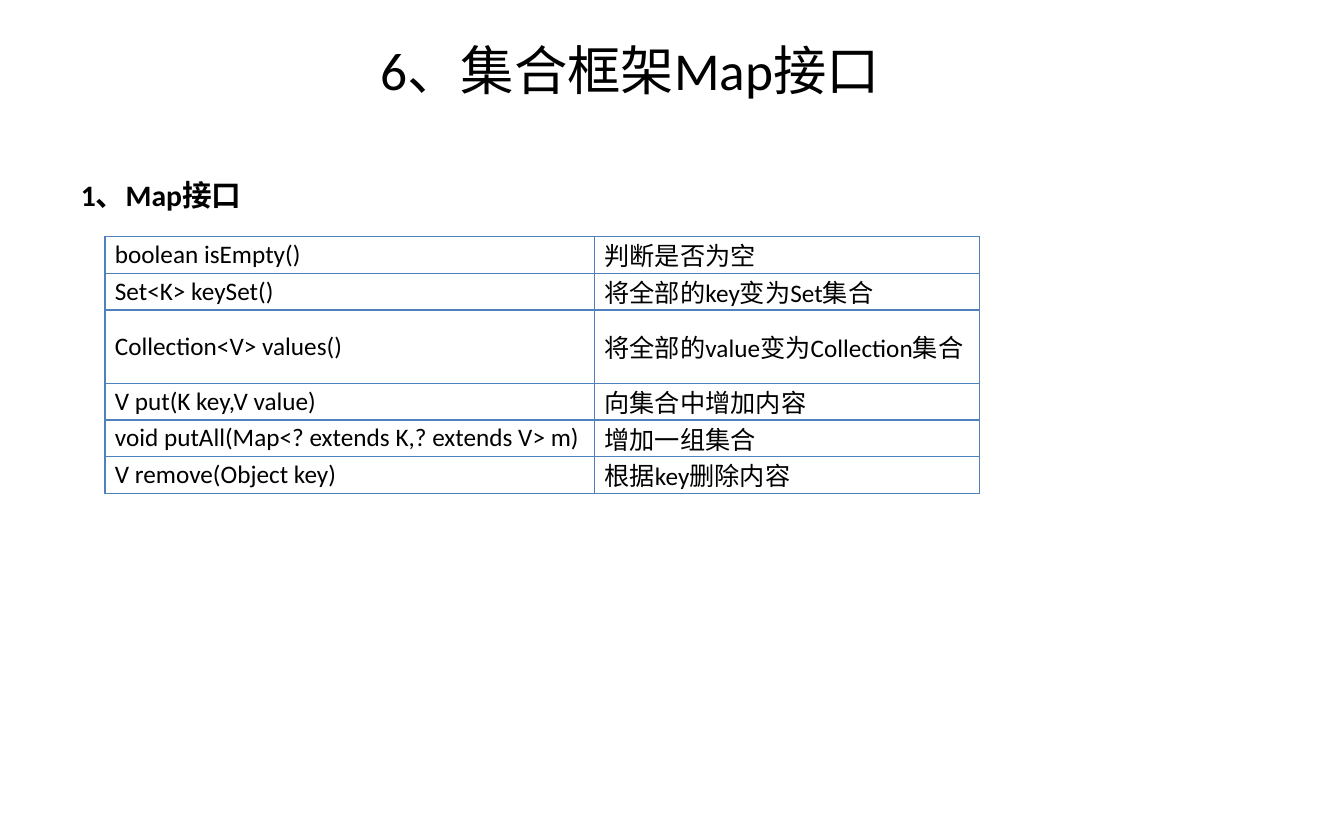
from lxml import etree
from pptx import Presentation
from pptx.dml.color import RGBColor
from pptx.enum.text import MSO_ANCHOR, PP_ALIGN
from pptx.oxml.ns import qn
from pptx.util import Pt

LEFT, CENTER, JUSTIFY = PP_ALIGN.LEFT, PP_ALIGN.CENTER, PP_ALIGN.JUSTIFY
TOP, MIDDLE = MSO_ANCHOR.TOP, MSO_ANCHOR.MIDDLE
FONT = "Calibri"
BLACK, WHITE, BLUE = "000000", "FFFFFF", "4F81BD"

MAP_METHODS = [
    ("boolean isEmpty()", "判断是否为空", 1),
    ("Set<K> keySet()", "将全部的key变为Set集合", 1),
    ("Collection<V> values()", "将全部的value变为Collection集合", 2),
    ("V put(K key,V value)", "向集合中增加内容", 1),
    ("void putAll(Map<? extends K,? extends V> m)", "增加一组集合", 1),
    ("V remove(Object key)", "根据key删除内容", 1),
]


def color(hex_value):
    return RGBColor.from_string(hex_value)


def write(frame, text, size, bold=False, align=LEFT, hanging=0):
    frame.word_wrap = True
    paragraph = frame.paragraphs[0]
    paragraph.alignment = align
    if hanging:
        properties = paragraph._p.get_or_add_pPr()
        properties.set("marL", str(Pt(hanging)))
        properties.set("indent", str(-Pt(hanging)))
    run = paragraph.add_run()
    run.text = text
    run.font.name = FONT
    run.font.size = Pt(size)
    run.font.bold = bold
    run.font.color.rgb = color(BLACK)


def add_text(slide, box, text, anchor=TOP, **text_format):
    frame = slide.shapes.add_textbox(*map(Pt, box)).text_frame
    frame.vertical_anchor = anchor
    frame.margin_left = frame.margin_right = Pt(9.2)
    frame.margin_top = frame.margin_bottom = Pt(5)
    write(frame, text, **text_format)


def outline(cell, hex_value, width):
    properties = cell._tc.get_or_add_tcPr()
    for side in ("lnL", "lnR", "lnT", "lnB"):
        line = etree.SubElement(properties, qn(f"a:{side}"), w=str(Pt(width)))
        fill = etree.SubElement(line, qn("a:solidFill"))
        etree.SubElement(fill, qn("a:srgbClr"), val=hex_value)


def add_method_table(slide, box, methods, signature_width):
    left, top, width, height = box
    line_height = height / sum(lines for _, _, lines in methods)
    table = slide.shapes.add_table(
        len(methods), 2, Pt(left), Pt(top), Pt(width), Pt(height)
    ).table
    table.first_row = table.horz_banding = False
    table.columns[0].width = Pt(signature_width)
    table.columns[1].width = Pt(width - signature_width)
    for row, (signature, meaning, lines) in enumerate(methods):
        table.rows[row].height = Pt(line_height * lines)
        for column, (text, align) in enumerate([(signature, LEFT), (meaning, JUSTIFY)]):
            cell = table.cell(row, column)
            cell.margin_left = cell.margin_right = Pt(6.75)
            cell.margin_top = cell.margin_bottom = 0
            cell.vertical_anchor = MIDDLE
            outline(cell, BLUE, 1)
            cell.fill.solid()
            cell.fill.fore_color.rgb = color(WHITE)
            write(cell.text_frame, text, size=17, align=align)


def add_map_slide(deck, box):
    left, top, width, height = box
    slide = deck.slides.add_slide(deck.slide_layouts[6])
    add_text(slide, (left + 113.6, top + 23, 623.6, 47.5), "6、集合框架Map接口",
             anchor=MIDDLE, size=36, align=CENTER)
    add_text(slide, (left + 45.4, top + 114.5, width - 90.8, height - 184.7), "1、Map接口",
             size=20, bold=True, hanging=35.3)
    add_method_table(slide, (left + 70.8, top + 159.7, 590.4, 173.25),
                     MAP_METHODS, signature_width=330.5)


def main():
    deck = Presentation()
    width, height = 907.25, 567
    deck.slide_width, deck.slide_height = Pt(width), Pt(height)
    add_map_slide(deck, (0, 0, width, height))
    deck.save("out.pptx")


if __name__ == "__main__":
    main()
